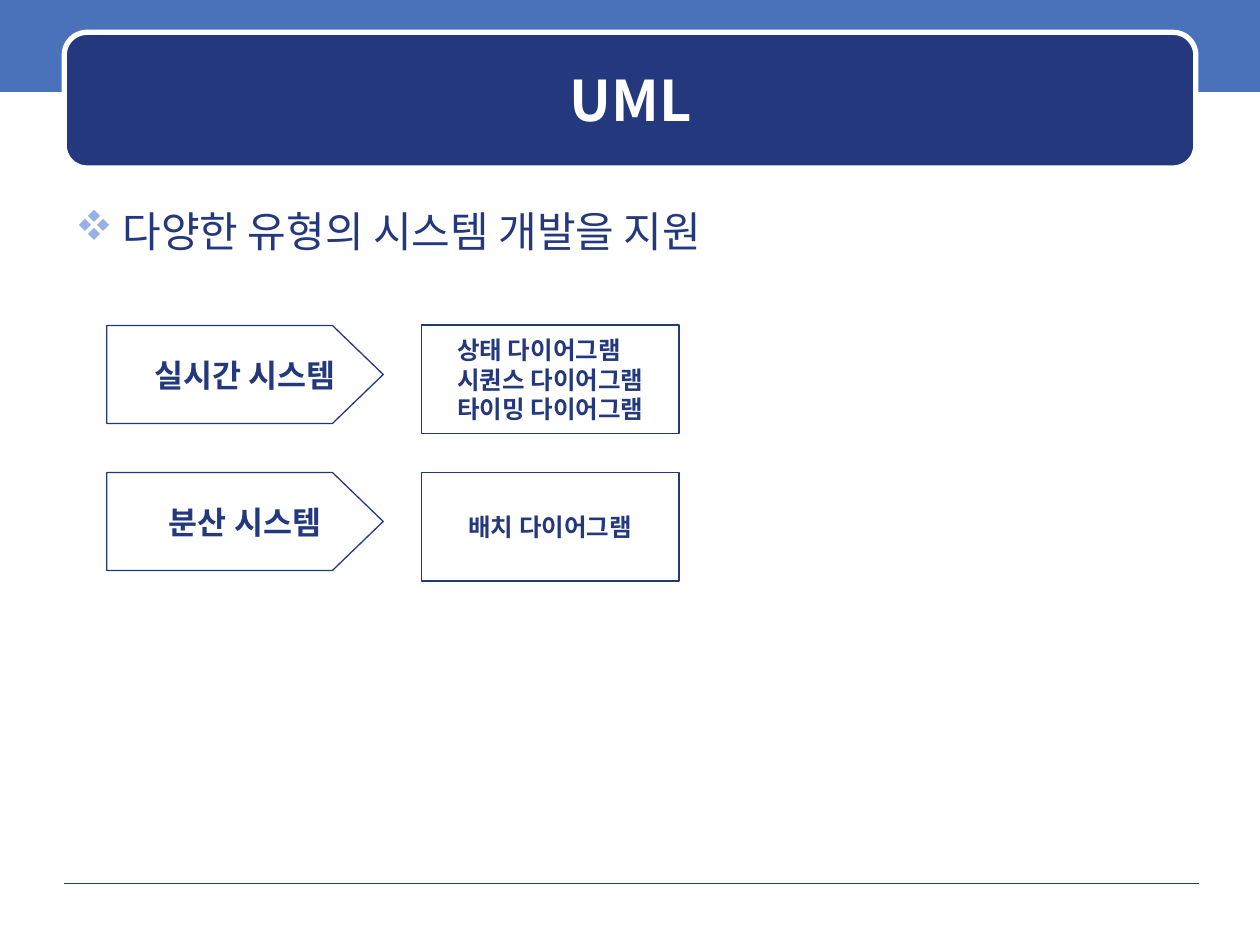
from lxml import etree
from pptx import Presentation
from pptx import util as u
from pptx.dml.color import RGBColor
from pptx.enum import shapes, text
from pptx.oxml import ns

Pt = u.Pt
NAVY = RGBColor(0x23, 0x38, 0x7D)
BLUE = RGBColor(0x49, 0x72, 0xBB)
RULE = RGBColor(0x1A, 0x3D, 0x97)
WHITE = RGBColor(0xFF, 0xFF, 0xFF)
BULLET = RGBColor(0x96, 0xB1, 0xE6)
FONT = "Noto Sans CJK KR"
MIDDLE = text.MSO_ANCHOR.MIDDLE
LEFT, CENTER = text.PP_ALIGN.LEFT, text.PP_ALIGN.CENTER


def write(shape, lines, size, color, bold, align, frame_format):
    frame = shape.text_frame
    for key, value in frame_format.items():
        setattr(frame, key, value)
    frame.text = "\n".join(lines)
    for paragraph in frame.paragraphs:
        paragraph.alignment = align
        run = paragraph.runs[0]
        run.font.color.rgb = color
        for key, value in {"name": FONT, "size": Pt(size), "bold": bold}.items():
            setattr(run.font, key, value)
        run.font._element.set("kern", "0")
        east_asian = etree.SubElement(run.font._element, ns.qn("a:ea"))
        east_asian.set("typeface", FONT)


def outline(shape, fill, line, width):
    shape.shadow.inherit = False
    if fill is None:
        shape.fill.background()
    else:
        shape.fill.solid()
        shape.fill.fore_color.rgb = fill
    if line is None:
        shape.line.fill.background()
    else:
        shape.line.color.rgb = line
        shape.line.width = Pt(width)


deck = Presentation()
deck.slide_width, deck.slide_height = Pt(720), Pt(540)
slide = deck.slides.add_slide(deck.slide_layouts[5])
parts = slide.shapes

header_band = parts.add_shape(shapes.MSO_SHAPE.RECTANGLE, 0, 0, Pt(720), Pt(52.5))
outline(header_band, BLUE, None, 0)

footer_rule = parts.add_connector(
    shapes.MSO_CONNECTOR.STRAIGHT, Pt(36.7), Pt(504.8), Pt(685), Pt(504.8))
footer_rule.line.color.rgb = RULE
footer_rule.line.width = Pt(0.25)
etree.SubElement(footer_rule._element.spPr, ns.qn("a:effectLst"))

title_panel = parts.add_shape(
    shapes.MSO_SHAPE.ROUNDED_RECTANGLE, Pt(36.7), Pt(18.5), Pt(646.6), Pt(77.5))
title_panel.adjustments[0] = 0.167
outline(title_panel, NAVY, WHITE, 3)

title = parts.title
for key, value in {"left": 43.2, "top": 25.2, "width": 634.4, "height": 63.4}.items():
    setattr(title, key, Pt(value))
write(title, ["UML"], 32, WHITE, True, CENTER, {"vertical_anchor": MIDDLE})
parts._spTree.append(title._element)

statement = parts.add_textbox(Pt(36), Pt(113.8), Pt(648), Pt(383.8))
write(statement, ["다양한 유형의 시스템 개발을 지원"], 24, NAVY, False, LEFT,
      {"word_wrap": True})
bullet_format = statement.text_frame.paragraphs[0]._p.get_or_add_pPr()
bullet_format.set("marL", str(Pt(27)))
bullet_format.set("indent", str(-Pt(27)))
bullet_color = etree.SubElement(bullet_format, ns.qn("a:buClr"))
etree.SubElement(bullet_color, ns.qn("a:srgbClr")).set("val", str(BULLET))
etree.SubElement(bullet_format, ns.qn("a:buFont")).set("typeface", "Wingdings")
etree.SubElement(bullet_format, ns.qn("a:buChar")).set("char", "v")

SYSTEMS = [
    ("실시간 시스템", ["상태 다이어그램", "시퀀스 다이어그램", "타이밍 다이어그램"]),
    ("분산 시스템", ["배치 다이어그램"]),
]
FIRST_TOP, ROW_STEP = 185.7, 84.3
ARROW_LEFT, ARROW_WIDTH, ARROW_HEIGHT = 61, 157.6, 56.4
label_format = {"vertical_anchor": MIDDLE, "word_wrap": False}

for row, (system, diagrams) in enumerate(SYSTEMS):
    top = FIRST_TOP + row * ROW_STEP
    right, bottom = ARROW_LEFT + ARROW_WIDTH, top + ARROW_HEIGHT
    shoulder = right - ARROW_HEIGHT / 2
    arrow = parts.build_freeform(ARROW_LEFT, top, scale=Pt(1))
    arrow.add_line_segments([
        (shoulder, top), (right, top + ARROW_HEIGHT / 2),
        (shoulder, bottom), (ARROW_LEFT, bottom)])
    system_arrow = arrow.convert_to_shape()
    outline(system_arrow, None, NAVY, 0.75)
    write(system_arrow, [system], 18, NAVY, True, CENTER, label_format)

    diagram_box = parts.add_shape(
        shapes.MSO_SHAPE.RECTANGLE, Pt(241), Pt(top), Pt(147), Pt(62))
    outline(diagram_box, None, NAVY, 0.75)
    write(diagram_box, diagrams, 14, NAVY, True, LEFT,
          {"vertical_anchor": MIDDLE, "word_wrap": True})
    diagram_box.text_frame._bodyPr.set("anchorCtr", "1")

deck.save("out.pptx")
